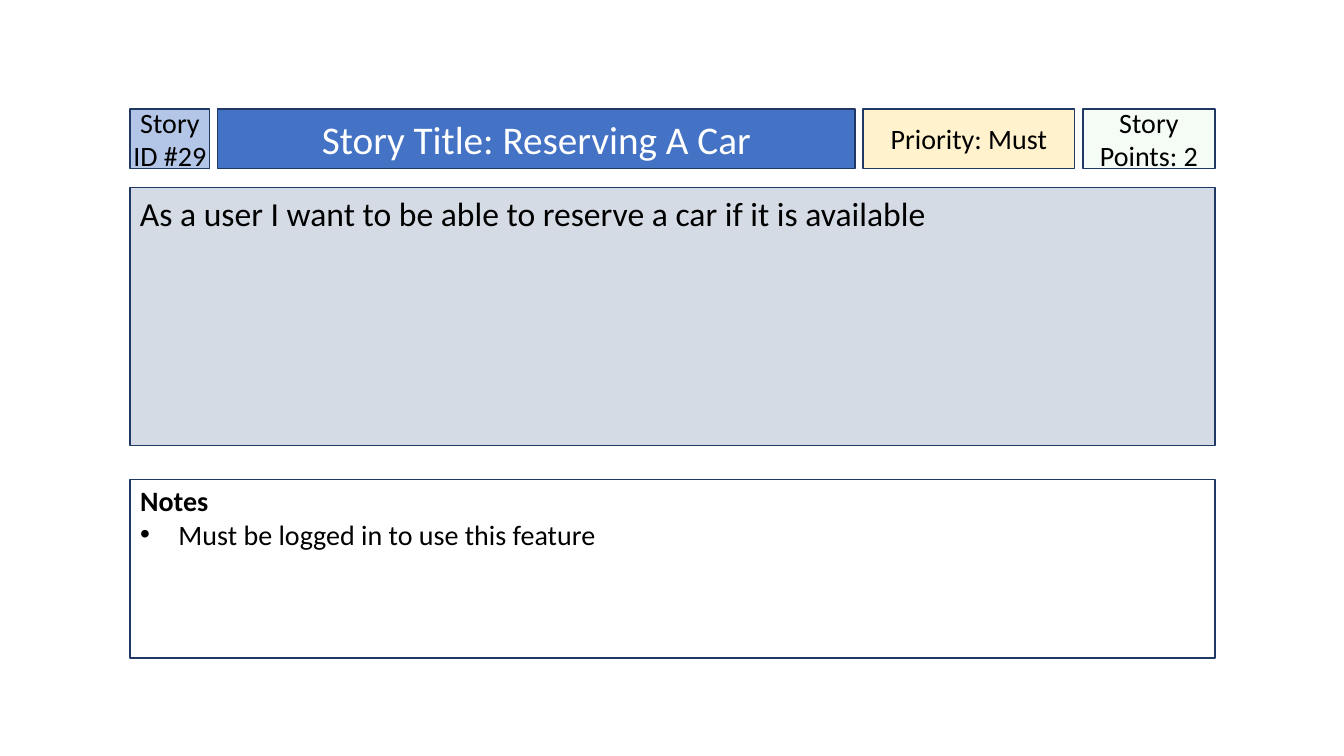
from itertools import accumulate

from lxml.etree import SubElement
from pptx import Presentation
from pptx.dml.color import RGBColor
from pptx.enum.shapes import MSO_SHAPE
from pptx.enum.text import MSO_ANCHOR, MSO_AUTO_SIZE, PP_ALIGN
from pptx.oxml.ns import qn
from pptx.util import Inches, Pt

COLORS = {
    "border": "1F3864", "text": "000000", "title_text": "FFFFFF",
    "id": "B3C6E7", "title": "4472C4", "priority": "FFF2CC",
    "points": "CCF0CD", "story": "D5DBE5", "notes": "FFFFFF",
}

# Grid in inches: header columns with an equal gap, rows as (top, height)
LEFT, GAP = 1.29, 0.08
COLUMNS = (0.79, 6.32, 2.1, 1.31)
STARTS = list(accumulate((width + GAP for width in COLUMNS), initial=LEFT))
ROWS = {"header": (1.08, 0.59), "story": (1.86, 2.56), "notes": (4.76, 1.77)}
LAST = len(COLUMNS) - 1


class StoryCard:
    font = "Calibri"
    indent = 0.38

    def __init__(self, slide):
        self.slide = slide

    def color(self, key):
        return RGBColor.from_string(COLORS[key])

    def panel(self, row, first, last, fill, holder=None, side=0.1, top=0.05):
        """Place a bordered box on the grid, reusing a placeholder if given."""
        panel = holder
        if panel is None:
            panel = self.slide.shapes.add_shape(MSO_SHAPE.RECTANGLE, 0, 0, 0, 0)
            panel.shadow.inherit = False
        y, height = ROWS[row]
        panel.left, panel.top = Inches(STARTS[first]), Inches(y)
        panel.width = Inches(STARTS[last] + COLUMNS[last] - STARTS[first])
        panel.height = Inches(height)
        panel.fill.solid()
        panel.fill.fore_color.rgb = self.color(fill)
        panel.line.color.rgb = self.color("border")
        panel.line.width = Pt(1)
        frame = panel.text_frame
        frame.word_wrap = True
        frame.auto_size = MSO_AUTO_SIZE.NONE
        frame.margin_left = frame.margin_right = Inches(side)
        frame.margin_top, frame.margin_bottom = Inches(top), Inches(0.05)
        frame.vertical_anchor = (
            MSO_ANCHOR.MIDDLE if row == "header" else MSO_ANCHOR.TOP)
        return panel

    def set_text(self, paragraph, text, size, color="text", bold=False,
                 align=PP_ALIGN.LEFT):
        paragraph.text = text
        paragraph.alignment = align
        paragraph.space_before = Pt(0)
        font = paragraph.font
        font.name, font.size, font.bold = self.font, Pt(size), bold
        font.color.rgb = self.color(color)

    def header(self, column, text, fill, size=20, color="text", **box):
        panel = self.panel("header", column, column, fill, **box)
        self.set_text(panel.text_frame.paragraphs[0], text, size, color,
                      align=PP_ALIGN.CENTER)
        return panel

    def story(self, text):
        panel = self.panel("story", 0, LAST, "story")
        self.set_text(panel.text_frame.paragraphs[0], text, 24)

    def notes(self, heading, items, holder):
        frame = self.panel("notes", 0, LAST, "notes", holder, top=0.04).text_frame
        first = frame.paragraphs[0]
        self.bullet(first, None)
        self.set_text(first, heading, 20, bold=True)
        for item in items:
            paragraph = frame.add_paragraph()
            self.bullet(paragraph, "•")
            self.set_text(paragraph, item, 20)

    def bullet(self, paragraph, mark):
        props = paragraph._p.get_or_add_pPr()
        indent = Inches(self.indent) if mark else 0
        props.set("marL", str(indent))
        props.set("indent", str(-indent))
        if mark is None:
            SubElement(props, qn("a:buNone"))
            return
        tint = SubElement(props, qn("a:buClr"))
        SubElement(tint, qn("a:srgbClr"), val=COLORS["text"])
        SubElement(props, qn("a:buFont"), typeface="Arial")
        SubElement(props, qn("a:buChar"), char=mark)

    def fade(self, panel, percent):
        solid = panel.fill._xPr.find(qn("a:solidFill"))
        SubElement(solid[0], qn("a:alpha"), val=str(percent * 1000))


def main():
    deck = Presentation()
    deck.slide_width, deck.slide_height = Inches(13.33), Inches(7.5)
    slide = deck.slides.add_slide(deck.slide_layouts[1])
    card = StoryCard(slide)

    # Header row
    card.header(0, "Story ID #29", "id", side=0)
    card.header(1, "Story Title: Reserving A Car", "title", 28, "title_text",
                holder=slide.shapes.title)
    card.header(2, "Priority: Must", "priority", side=0)
    points = card.header(3, "Story Points: 2", "points", side=0)
    card.fade(points, 20)

    # Story and notes
    card.story("As a user I want to be able to reserve a car if it is available")
    card.notes("Notes", ["Must be logged in to use this feature"],
               slide.placeholders[1])

    deck.save("out.pptx")


if __name__ == "__main__":
    main()
